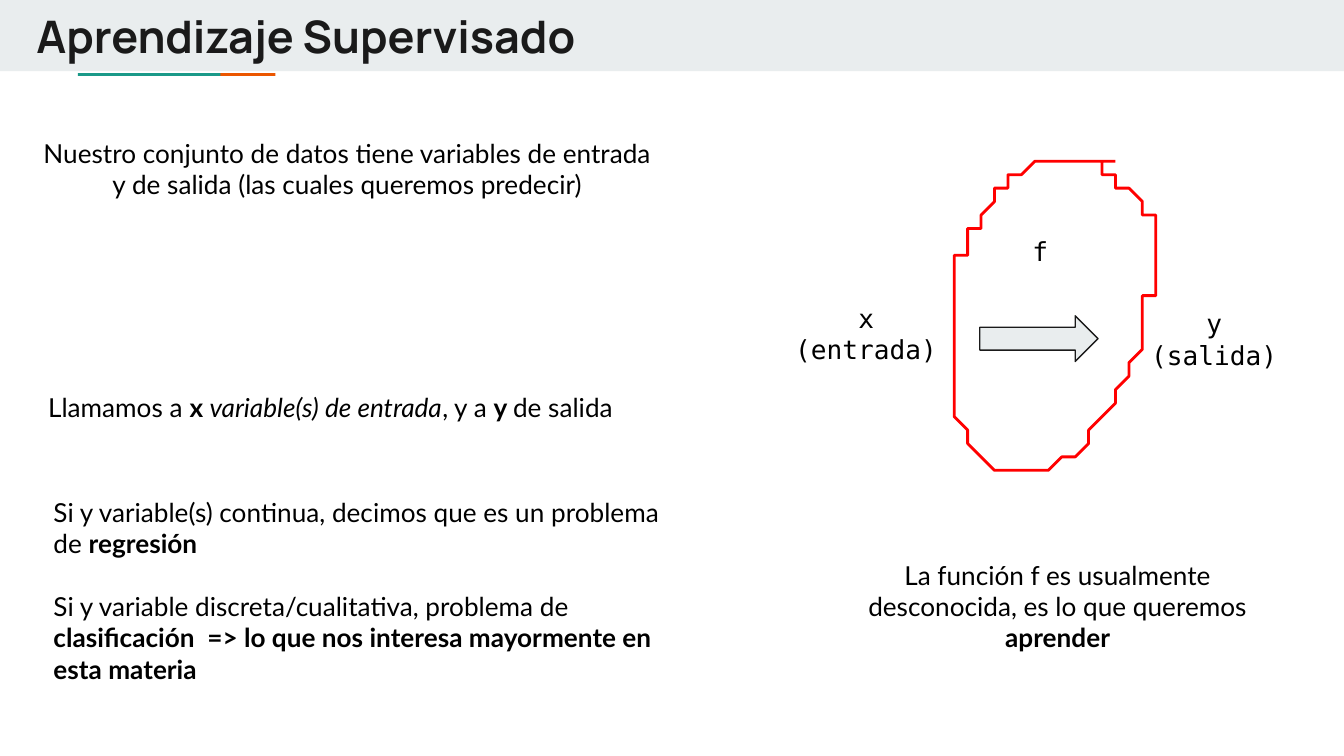
from pptx import Presentation
from pptx.dml.color import RGBColor
from pptx.enum.shapes import MSO_SHAPE as Shape
from pptx.enum.text import MSO_ANCHOR as Anchor, MSO_AUTO_SIZE as AutoSize, PP_ALIGN as Align
from pptx.util import Inches, Pt

COLS, ROWS = 100, 56.25
UNIT = Inches(0.1)
BLACK = RGBColor(0x00, 0x00, 0x00)
INK = RGBColor(0x1A, 0x1A, 0x1A)
PALE = RGBColor(0xE9, 0xED, 0xEE)
GREEN = RGBColor(0x1A, 0x99, 0x88)
ORANGE = RGBColor(0xEB, 0x56, 0x00)
RED = RGBColor(0xFF, 0x00, 0x00)
SANS, MONO, HEADING = "Lato", "DejaVu Sans Mono", "Manrope"

LOOP_START = (83.3, 12.5)
LOOP_CURVES = [
    ((81.4, 12.3), (79.5, 11.6), (77.7, 12.1)),
    ((75, 12.8), (73, 15.7), (71.9, 18.2)),
    ((70.9, 20.3), (71.3, 22.7), (71.1, 25)),
    ((70.7, 28.6), (71.2, 34.6), (74.8, 35.3)),
    ((79.7, 36.4), (84.2, 29.4), (85.2, 24.5)),
    ((85.6, 22.2), (85.7, 19.8), (85.9, 17.5)),
    ((86, 14.9), (82.8, 13.2), (80.7, 11.7)),
]


def grid(*lengths):
    return [round(n * UNIT) for n in lengths]


def style_run(r, font, size, color, bold=False, italic=False):
    r.font.name, r.font.size = font, Pt(size)
    r.font.color.rgb = color
    r.font.bold, r.font.italic = bold, italic


def set_insets(tf):
    tf.margin_left = tf.margin_right = tf.margin_top = tf.margin_bottom = UNIT


def add_title(s, text, box):
    sp = s.shapes.title
    sp.left, sp.top, sp.width, sp.height = grid(*box)
    tf = sp.text_frame
    tf.text = text
    set_insets(tf)
    tf.vertical_anchor = Anchor.MIDDLE
    p = tf.paragraphs[0]
    p.alignment = Align.LEFT
    style_run(p.runs[0], HEADING, 24, INK, bold=True)
    s.shapes._spTree.append(sp._element)


def add_text(s, box, paragraphs, align=Align.CENTER, font=SANS, gap=0):
    tf = s.shapes.add_textbox(*grid(*box)).text_frame
    tf.word_wrap = True
    tf.auto_size = AutoSize.SHAPE_TO_FIT_TEXT
    set_insets(tf)
    for i, runs in enumerate(paragraphs):
        p = tf.add_paragraph() if i else tf.paragraphs[0]
        p.alignment = align
        if i and gap:
            p.space_before = Pt(gap)
        for text, mark in runs:
            r = p.add_run()
            r.text = text
            style_run(r, font, 14, BLACK, mark == "b", mark == "i")


def add_block(s, kind, box, fill, line=None):
    sp = s.shapes.add_shape(kind, *grid(*box))
    sp.shadow.inherit = False
    sp.fill.solid()
    sp.fill.fore_color.rgb = fill
    if line:
        sp.line.color.rgb = line
        sp.line.width = Pt(0.75)
    else:
        sp.line.fill.background()


def bezier(points, t):
    weights = ((1 - t) ** 3, 3 * t * (1 - t) ** 2, 3 * t * t * (1 - t), t ** 3)
    return tuple(sum(w * n for w, n in zip(weights, axis)) for axis in zip(*points))


def add_loop(s, start, curves, steps=16):
    points, last = [], start
    for curve in curves:
        points += [bezier((last, *curve), k / steps) for k in range(1, steps + 1)]
        last = curve[-1]
    builder = s.shapes.build_freeform(*start, scale=UNIT)
    builder.add_line_segments(points, close=False)
    sp = builder.convert_to_shape()
    sp.shadow.inherit = False
    sp.fill.background()
    sp.line.color.rgb = RED
    sp.line.width = Pt(1.5)


def main():
    prs = Presentation()
    prs.slide_width, prs.slide_height = grid(COLS, ROWS)
    s = prs.slides.add_slide(prs.slide_layouts[5])

    add_block(s, Shape.RECTANGLE, (0, 0, COLS, 5.3), PALE)
    for left, color in ((9.9, ORANGE), (5.8, GREEN)):
        add_block(s, Shape.RECTANGLE, (left, 5.45, 10.6, 0.2), color)
    add_title(s, "Aprendizaje Supervisado", (1.7, -0.3, 84.1, 5.9))

    add_text(s, (1.7, 9.2, 48.3, 6.7), [[
        ("Nuestro conjunto de datos tiene variables de entrada y de salida "
         "(las cuales queremos predecir)", "")]])
    add_text(s, (3, 35.9, 48.3, 16.2), [
        [("Si y variable(s) continua, decimos que es un problema de ", ""),
         ("regresión", "b")],
        [("Si y variable discreta/cualitativa, problema de ", ""),
         ("clasificación  => lo que nos interesa mayormente en esta materia", "b")],
    ], Align.LEFT, gap=17)
    add_text(s, (2.6, 28.1, 49.6, 4.4), [[
        ("Llamamos a ", ""), ("x ", "b"), ("variable(s) de entrada", "i"),
        (", y a ", ""), ("y ", "b"), ("de salida", "")]], Align.LEFT)

    add_block(s, Shape.RIGHT_ARROW, (72.9, 23.5, 8.8, 3.4), PALE, INK)
    for box, lines in (
        ((57.7, 21.5, 13.5, 6.7), ("x", "(entrada)")),
        ((75.1, 16.5, 4.6, 4.4), ("f",)),
        ((83.6, 21.9, 13.5, 6.7), ("y", "(salida)")),
    ):
        add_text(s, box, [[(line, "")] for line in lines], font=MONO)
    add_loop(s, LOOP_START, LOOP_CURVES)
    add_text(s, (63.2, 40.6, 31, 9.1), [[
        ("La función f es usualmente desconocida, es lo que queremos ", ""),
        ("aprender", "b")]])

    prs.save("out.pptx")


if __name__ == "__main__":
    main()
